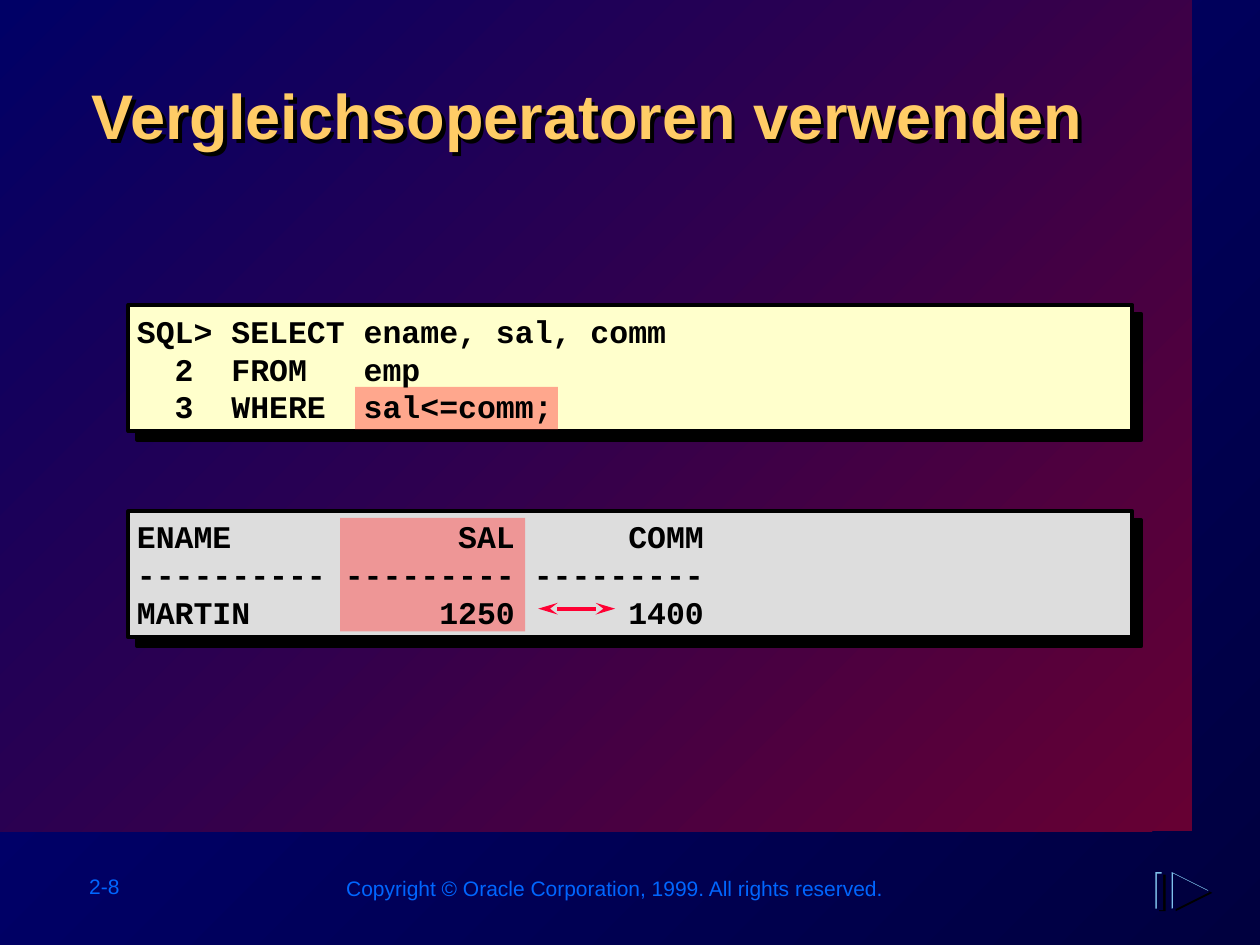
from dataclasses import dataclass
from typing import Optional

from lxml.etree import SubElement
from pptx import Presentation
from pptx.dml.color import RGBColor
from pptx.enum.shapes import MSO_CONNECTOR, MSO_SHAPE
from pptx.enum.text import MSO_ANCHOR, MSO_AUTO_SIZE, PP_ALIGN
from pptx.oxml.ns import qn
from pptx.util import Cm, Pt

COLORS = {
    "black": "000000",
    "night": "00003F",
    "navy": "000080",
    "wine": "660033",
    "blue": "000066",
    "footer": "0066FF",
    "title": "FFCC66",
    "query": "FFFFCC",
    "result": "DDDDDD",
    "mark": "FF5050",
    "arrow": "FF0033",
    "sky": "7FC1EB",
}
LINE_WIDTH = Pt(2.25)


@dataclass
class Box:
    x: float
    y: float
    w: float
    h: float


@dataclass
class Listing:
    y: float
    text_y: float
    fill: str
    lines: list[str]


@dataclass
class IconLayer:
    dx: float
    dy: float
    fill: str


LISTINGS = [
    Listing(6.15, 6.12, "query", [
        "SQL> SELECT ename, sal, comm",
        "  2  FROM   emp",
        "  3  WHERE  sal<=comm;",
    ]),
    Listing(10.31, 10.26, "result", [
        "ENAME            SAL      COMM",
        "---------- --------- ---------",
        "MARTIN          1250      1400",
    ]),
]
MARKS = [Box(7.16, 7.8, 4.09, 0.86), Box(6.86, 10.44, 3.73, 2.29)]
FOOTERS = [
    (Box(1.55, 17.48, 2.82, 0.76), "2-8"),
    (Box(6.73, 17.53, 11.38, 0.76),
     "Copyright © Oracle Corporation, 1999. All rights reserved."),
]
ICON_LAYERS = [
    IconLayer(0.08, 0.05, "black"),
    IconLayer(0, 0, "sky"),
    IconLayer(0.03, 0.03, "night"),
]


def rgb(name: str) -> RGBColor:
    return RGBColor.from_string(COLORS[name])


def solid(fill, name: str) -> None:
    fill.solid()
    fill.fore_color.rgb = rgb(name)


def gradient(fill, start: str, end: str) -> None:
    fill.gradient()
    fill.gradient_angle = 135
    for stop, name in zip(fill.gradient_stops, (start, end)):
        stop.color.rgb = rgb(name)


def add_shadow(sp, dist: Pt) -> None:
    sp.shadow.inherit = False
    effects = sp._element.spPr.find(qn("a:effectLst"))
    shadow = SubElement(effects, qn("a:outerShdw"), dist=str(int(dist)),
                        dir="2700000", algn="ctr", rotWithShape="0")
    SubElement(shadow, qn("a:srgbClr"), val=COLORS["black"])


def paint(sp, name: str) -> None:
    sp.shadow.inherit = False
    sp.line.fill.background()
    solid(sp.fill, name)


def add_rect(shapes, box: Box, name: str):
    sp = shapes.add_shape(MSO_SHAPE.RECTANGLE, Cm(box.x), Cm(box.y),
                          Cm(box.w), Cm(box.h))
    paint(sp, name)
    return sp


def add_text(shapes, box: Box, lines: list[str], font: str, size: int,
             color: str, bold: bool = False):
    tf = shapes.add_textbox(Cm(box.x), Cm(box.y), Cm(box.w), Cm(box.h)).text_frame
    tf.word_wrap = True
    tf.text = "\n".join(lines)
    for p in tf.paragraphs:
        p.font.name, p.font.size, p.font.bold = font, Pt(size), bold
        p.font.color.rgb = rgb(color)
    return tf


def add_panel(shapes, item: Listing) -> None:
    sp = add_rect(shapes, Box(2.59, item.y, 20.24, 2.54), item.fill)
    solid(sp.line.fill, "black")
    sp.line.width = LINE_WIDTH
    add_shadow(sp, Pt(7.1))


def add_code(shapes, item: Listing) -> None:
    tf = add_text(shapes, Box(2.51, item.text_y, 20.32, 2.62), item.lines,
                  "Courier New", 18, "black", True)
    tf.vertical_anchor = MSO_ANCHOR.MIDDLE


def add_mark(shapes, box: Box) -> None:
    sp = add_rect(shapes, box, "mark")
    color = sp._element.spPr.find(qn("a:solidFill"))[0]
    SubElement(color, qn("a:alpha"), val="50000")


def add_triangle(shapes, x: float, y: float, size: float, name: str) -> None:
    builder = shapes.build_freeform(Cm(x + size), Cm(y + size / 2))
    builder.add_line_segments([(Cm(x), Cm(y)), (Cm(x), Cm(y + size))], close=True)
    paint(builder.convert_to_shape(), name)


def add_double_arrow(shapes, x1: float, x2: float, y: float) -> None:
    cxn = shapes.add_connector(MSO_CONNECTOR.STRAIGHT, Cm(x1), Cm(y), Cm(x2), Cm(y))
    cxn.line.color.rgb = rgb("arrow")
    cxn.line.width = LINE_WIDTH
    ln = cxn.line._get_or_add_ln()
    for end in ("a:headEnd", "a:tailEnd"):
        SubElement(ln, qn(end), type="stealth", w="med", len="lg")
    SubElement(cxn._element.spPr, qn("a:effectLst"))


def format_title(sp) -> None:
    sp.left, sp.top, sp.width, sp.height = Cm(0.84), Cm(1.42), Cm(22), Cm(2.44)
    sp.fill.background()
    add_shadow(sp, Pt(3))
    tf = sp.text_frame
    tf.text = "Vergleichsoperatoren verwenden"
    tf.auto_size = MSO_AUTO_SIZE.NONE
    tf.vertical_anchor = MSO_ANCHOR.TOP
    p = tf.paragraphs[0]
    p.alignment = PP_ALIGN.CENTER
    p.font.name, p.font.size, p.font.bold = "Arial", Pt(36), True
    p.font.color.rgb = rgb("title")


def main() -> None:
    prs = Presentation()
    prs.slide_width, prs.slide_height = Cm(25.4), Cm(19.05)
    s = prs.slides.add_slide(prs.slide_layouts[5])
    shapes = s.shapes
    gradient(s.background.fill, "night", "navy")

    backdrop = add_rect(shapes, Box(0, 0, 24.03, 16.76), "wine")
    gradient(backdrop.fill, "wine", "blue")
    for box, text in FOOTERS:
        add_text(shapes, box, [text], "Arial", 12, "footer")
    for item in LISTINGS:
        add_panel(shapes, item)

    title = shapes.title
    format_title(title)
    shapes._spTree.append(title._element)

    for box in MARKS:
        add_mark(shapes, box)
    for item in LISTINGS:
        add_code(shapes, item)
    add_double_arrow(shapes, 10.85, 12.4, 12.27)

    for layer in ICON_LAYERS:
        add_rect(shapes, Box(23.29 + layer.dx, 17.58 + layer.dy, 0.13, 0.74), layer.fill)
    for layer in ICON_LAYERS:
        add_triangle(shapes, 23.62 + layer.dx, 17.58 + layer.dy, 0.74, layer.fill)

    prs.save("out.pptx")


if __name__ == "__main__":
    main()
